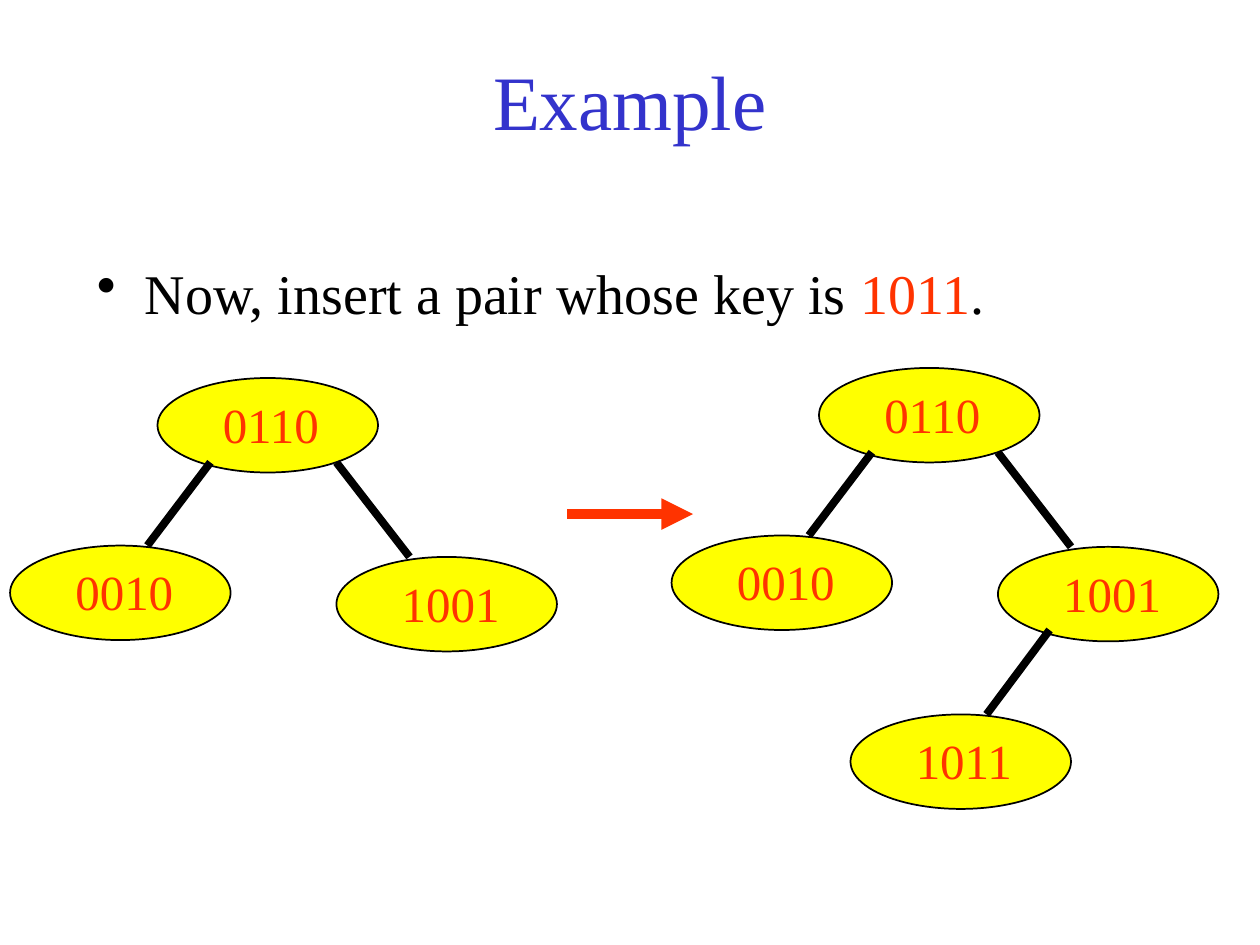
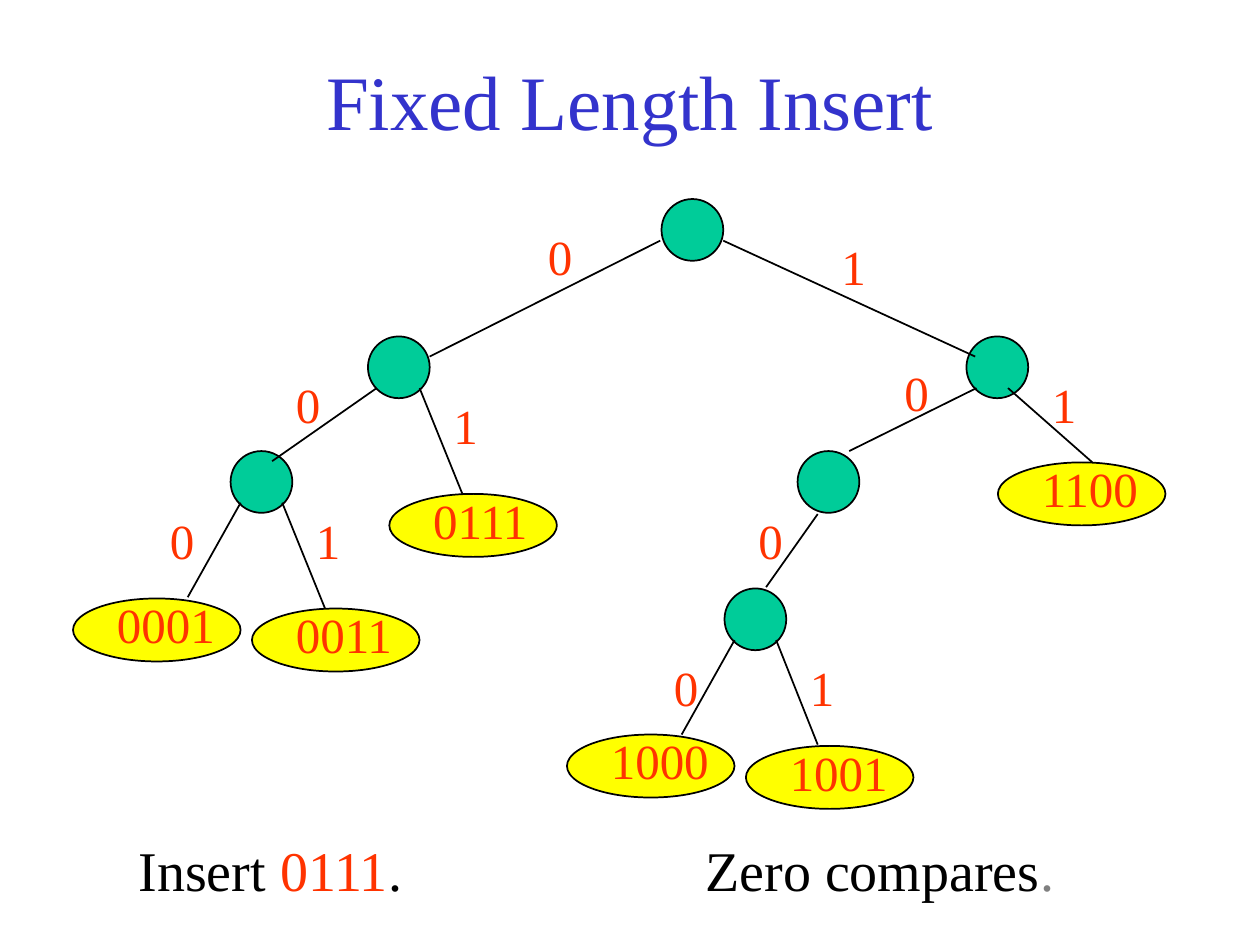
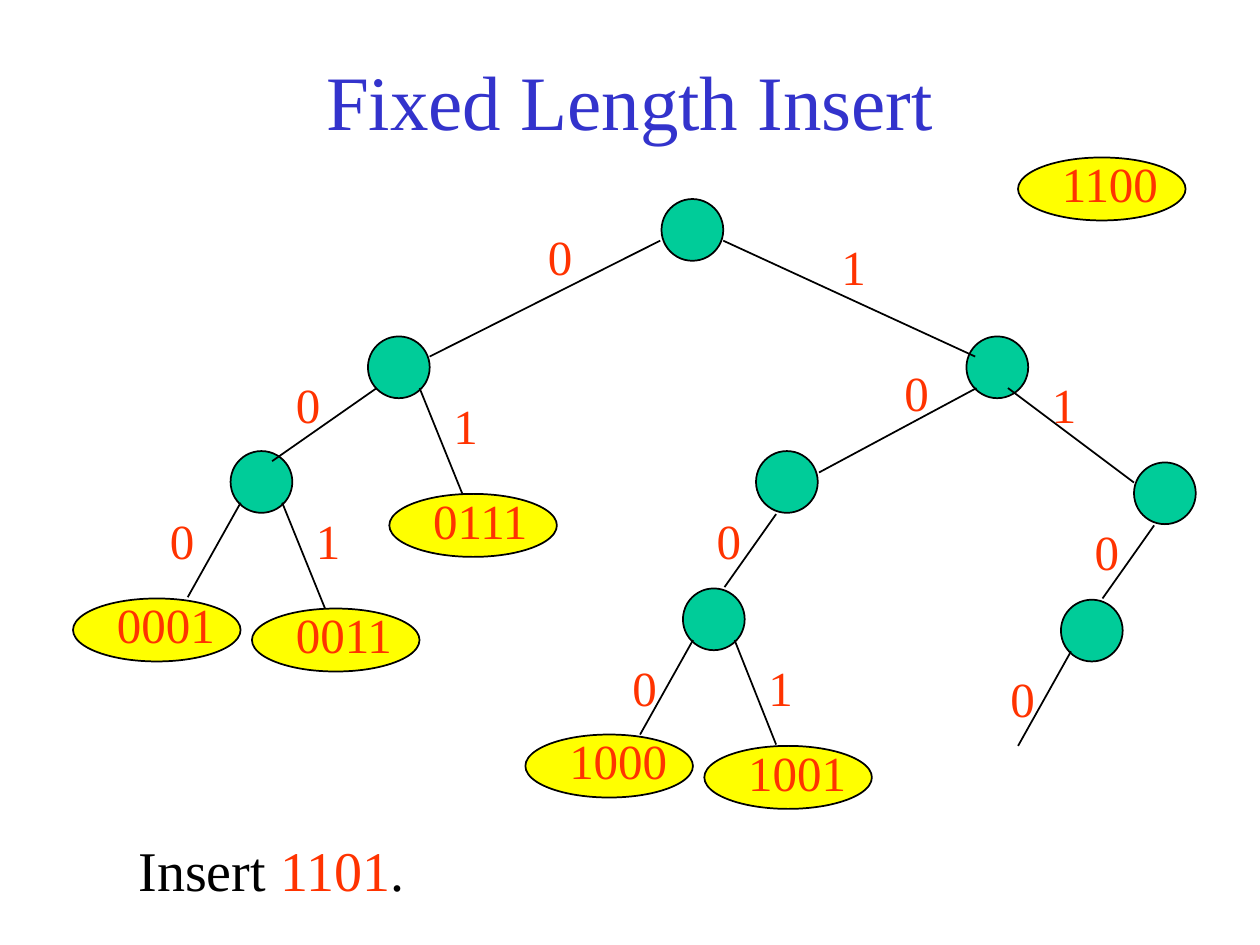
from dataclasses import dataclass
from typing import Any

from lxml.etree import SubElement
from pptx import Presentation
from pptx.dml.color import RGBColor
from pptx.enum.shapes import MSO_CONNECTOR as Connector, MSO_SHAPE as Preset
from pptx.enum.text import MSO_ANCHOR as Anchor, MSO_AUTO_SIZE as AutoSize, PP_ALIGN as Align
from pptx.oxml.ns import qn
from pptx.util import Inches, Pt


@dataclass(frozen=True)
class Theme:
    font: str = "Times New Roman"
    title_size: int = 44
    body_size: int = 32
    key_size: int = 28
    title: str = "3333CC"
    ink: str = "000000"
    key: str = "FF3300"
    pale: str = "808080"
    paper: str = "FFFFFF"
    pair: str = "FFFF00"
    branch: str = "00CC99"
    thin: float = 1
    thick: float = 4.5
    arrow: float = 6


THEME = Theme()


@dataclass
class Box:
    """A region: the shapes it draws into and its top left corner in inches."""
    shapes: Any
    left: float = 0
    top: float = 0

    def at(self, x, y):
        return Inches(self.left + x), Inches(self.top + y)

    def inner(self, x, y):
        return Box(self.shapes, self.left + x, self.top + y)


def grouped(page, left, top):
    return Box(page.shapes.add_group_shape().shapes, left, top)


# Basic parts

def colour(code):
    return RGBColor.from_string(code)


def set_font(para, size):
    para.font.name = THEME.font
    para.font.size = Pt(size)


def add_text(box, x, y, width, height, spans, size):
    """Place one paragraph of (text, colour) spans."""
    shape = box.shapes.add_textbox(*box.at(x, y), Inches(width), Inches(height))
    frame = shape.text_frame
    frame.word_wrap = True
    frame.auto_size = AutoSize.SHAPE_TO_FIT_TEXT
    para = frame.paragraphs[0]
    for text, code in spans:
        span = para.add_run()
        span.text = text
        span.font.color.rgb = colour(code)
    set_font(para, size)
    return shape


def add_key(box, x, y, text, width=1.17):
    add_text(box, x, y, width, 0.57, [(text, THEME.key)], THEME.key_size)


def add_bit(box, x, y, bit):
    add_key(box, x, y, bit, 0.5)


def add_ellipse(box, x, y, width, height, fill):
    shape = box.shapes.add_shape(Preset.OVAL, *box.at(x, y), Inches(width), Inches(height))
    shape.shadow.inherit = False
    shape.fill.solid()
    shape.fill.fore_color.rgb = colour(fill)
    shape.line.color.rgb = colour(THEME.ink)
    shape.line.width = Pt(THEME.thin)


def add_line(box, start, end, width=THEME.thin, code=THEME.ink):
    line = box.shapes.add_connector(Connector.STRAIGHT, *box.at(*start), *box.at(*end))
    line.line.color.rgb = colour(code)
    line.line.width = Pt(width)
    SubElement(line._element.spPr, qn("a:effectLst"))
    return line


def add_arrow(box, start, end):
    arrow = add_line(box, start, end, THEME.arrow, THEME.key)
    SubElement(arrow.line._get_or_add_ln(), qn("a:tailEnd"), type="triangle")


def add_branch(box, x, y):
    add_ellipse(box, x, y, 0.49, 0.49, THEME.branch)


def add_leaf(box, x, y, key):
    add_ellipse(box, x, y, 1.33, 0.5, THEME.pair)
    add_key(box, x + 0.25, y - 0.08, key)


def add_search_node(box, x, y, key):
    add_ellipse(box, x, y, 1.75, 0.75, THEME.pair)
    add_key(box, x + 0.42, y + 0.08, key)


# Page furniture

def add_page(deck, heading):
    page = deck.slides.add_slide(deck.slide_layouts[5])
    page.background.fill.solid()
    page.background.fill.fore_color.rgb = colour(THEME.paper)
    title = page.shapes.title
    title.left, title.top = Inches(0.75), Inches(0.17)
    title.width, title.height = Inches(8.5), Inches(1.25)
    title.text_frame.vertical_anchor = Anchor.MIDDLE
    para = title.text_frame.paragraphs[0]
    para.text = heading
    para.alignment = Align.CENTER
    set_font(para, THEME.title_size)
    para.font.color.rgb = colour(THEME.title)
    return page


def add_caption(box, spans):
    caption = add_text(box, 0, 0, 3.25, 0.63, spans, THEME.body_size)
    caption.fill.solid()
    caption.fill.fore_color.rgb = colour(THEME.paper)


def add_insert_caption(page, key):
    add_caption(Box(page.shapes, 1, 6.58),
                [("Insert ", THEME.ink), (key, THEME.key), (".", THEME.ink)])


def add_bullet(box, spans):
    shape = add_text(box, 0, 0, 8.5, 0.75, spans, THEME.body_size)
    properties = shape.text_frame.paragraphs[0]._p.get_or_add_pPr()
    properties.set("marL", str(Inches(0.38)))
    properties.set("indent", str(Inches(-0.38)))
    bullet = SubElement(properties, qn("a:buChar"), char="•")
    properties.insert(0, bullet)


# Trees

def search_tree(box, with_new_pair=False):
    nodes = [(2.59, 1.42, "1001"), (1.17, 0, "0110"), (0, 1.33, "0010")]
    edges = [((1.59, 0.67), (1.09, 1.33)), ((2.59, 0.67), (3.17, 1.42))]
    if with_new_pair:
        nodes.append((1.42, 2.75, "1011"))
        edges.append(((3, 2.08), (2.5, 2.75)))
    for node in nodes:
        add_search_node(box, *node)
    for start, end in edges:
        add_line(box, start, end, THEME.thick)


def one_leaf(box, key):
    """The leaf on the 1 side of the branch node at the box corner."""
    add_line(box, (0.41, 0.41), (0.75, 1.25))
    add_leaf(box, 0.17, 1.25, key)
    add_bit(box, 0.58, 0.42, "1")


def zero_edge(box):
    add_line(box, (0.08, 0.41), (-0.34, 1.16))


def leaf_pair(box, zero_key, one_key):
    """Both leaves of the branch node at the box corner."""
    zero_edge(box)
    add_leaf(box, -1.25, 1.17, zero_key)
    add_bit(box, -0.58, 0.42, "0")
    one_leaf(box, one_key)


def zero_chain(box):
    """Two branch nodes joined by 0, and the 0 edge below them."""
    lower = box.inner(-0.58, 1.09)
    add_branch(box, 0, 0)
    add_branch(lower, 0, 0)
    add_line(box, (0.16, 0.5), (-0.25, 1.08))
    add_bit(box, -0.41, 0.42, "0")
    zero_edge(lower)
    add_bit(lower, -0.5, 0.5, "0")
    return lower


def fixed_length_trie(box, chain_left, zero_end, one_end):
    """The trie; the edges under key prefix 1 end at zero_end and one_end."""
    for x, y in [(4.67, 0), (2.34, 1.09), (7.09, 1.09), (1.25, 2)]:
        add_branch(box, x, y)
    edges = [
        ((4.66, 0.33), (2.83, 1.25), "0", (3.67, 0.17)),
        ((5.16, 0.33), (7.16, 1.25), "1", (6, 0.25)),
        ((2.41, 1.5), (1.58, 2.08), "0", (1.67, 1.34)),
        ((7.17, 1.5), zero_end, "0", (6.5, 1.25)),
        ((7.42, 1.5), one_end, "1", (7.67, 1.34)),
    ]
    for start, end, bit, bit_at in edges:
        add_line(box, start, end)
        add_bit(box, *bit_at, bit)
    one_leaf(box.inner(2.34, 1.09), "0111")
    leaf_pair(box.inner(1.25, 2), "0001", "0011")
    lower = zero_chain(box.inner(chain_left, 2))
    add_leaf(lower, -1.25, 1.16, "1000")
    add_line(lower, (0.41, 0.41), (0.74, 1.24))
    add_leaf(lower, 0.17, 1.25, "1001")
    add_bit(lower, 0.58, 0.5, "1")


# Pages

def search_tree_page(deck):
    page = add_page(deck, "Example")
    add_bullet(Box(page.shapes, 0.67, 2),
               [("Now, insert a pair whose key is ", THEME.ink), ("1011", THEME.key),
                (".", THEME.ink)])
    add_arrow(Box(page.shapes, 4.5, 4.08), (0, 0), (1, 0))
    search_tree(grouped(page, 0.08, 3))
    search_tree(grouped(page, 5.33, 2.92), with_new_pair=True)


def zero_compares_page(deck):
    page = add_page(deck, "Fixed Length Insert")
    add_insert_caption(page, "0111")
    trie = grouped(page, 0.58, 1.58)
    fixed_length_trie(trie, 5.75, zero_end=(6.16, 2), one_end=(8.09, 2.09))
    add_leaf(trie, 7.34, 2.09, "1100")
    add_caption(Box(page.shapes, 5.5, 6.58),
                [("Zero compares", THEME.ink), (".", THEME.pale)])


def new_chain_page(deck):
    page = add_page(deck, "Fixed Length Insert")
    add_insert_caption(page, "1101")
    add_leaf(grouped(page, 8.08, 1.25), 0, 0, "1100")
    trie = grouped(page, 0.58, 1.58)
    fixed_length_trie(trie, 5.42, zero_end=(5.92, 2.17), one_end=(8.42, 2.25))
    zero_chain(trie.inner(8.42, 2.09))


def main():
    deck = Presentation()
    deck.slide_width, deck.slide_height = Inches(10), Inches(7.5)
    search_tree_page(deck)
    zero_compares_page(deck)
    new_chain_page(deck)
    deck.save("out.pptx")


if __name__ == "__main__":
    main()
